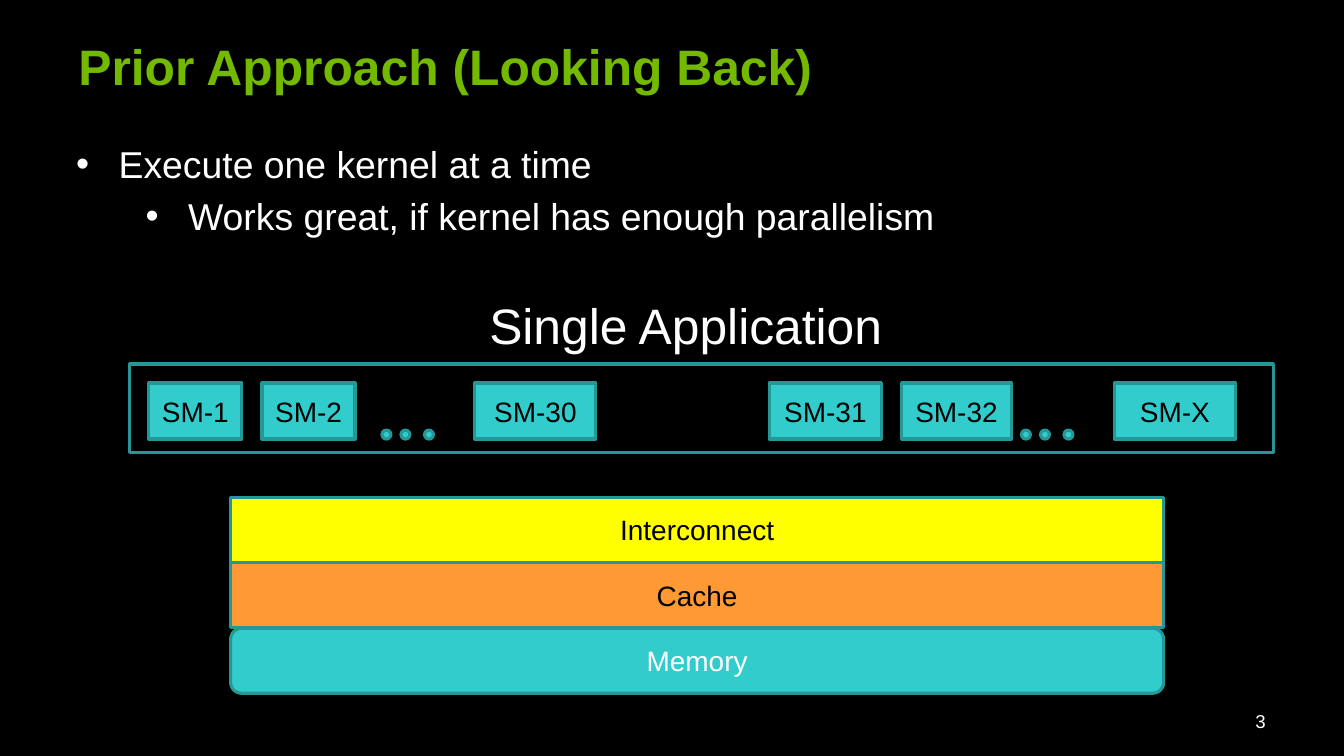
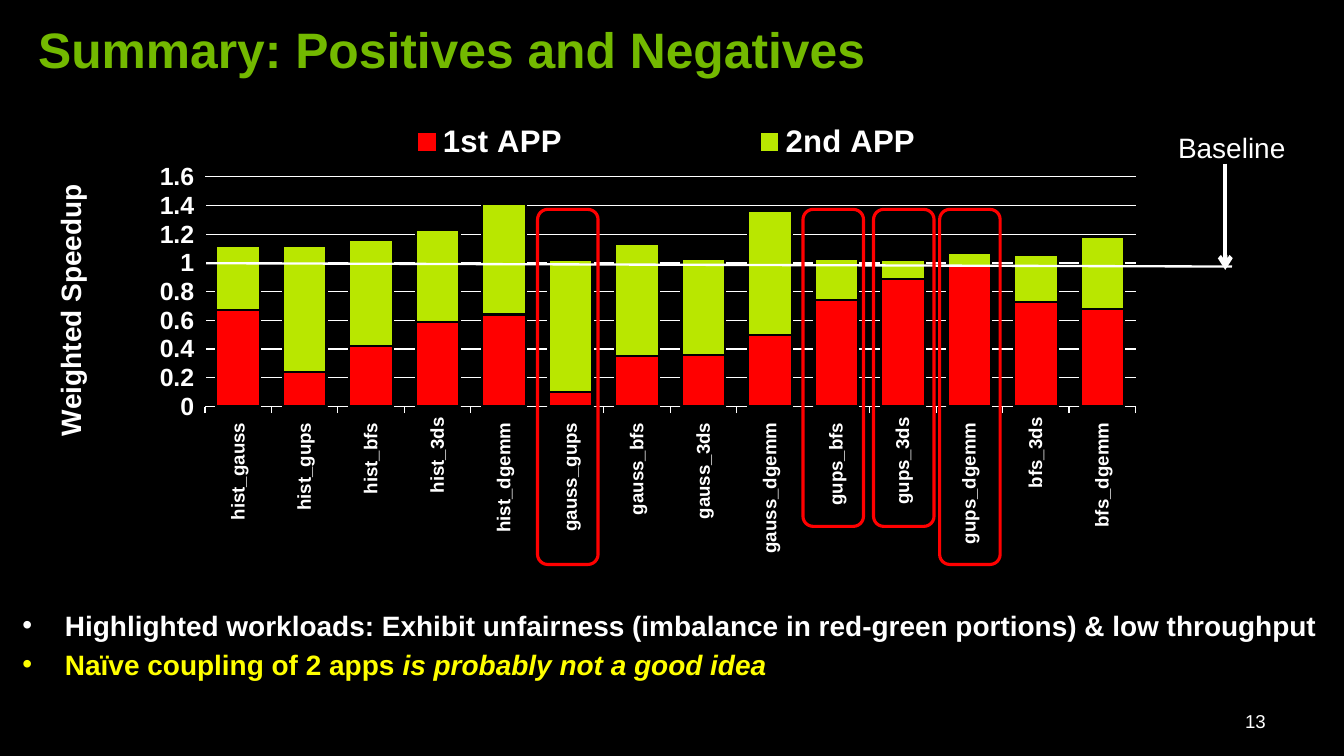
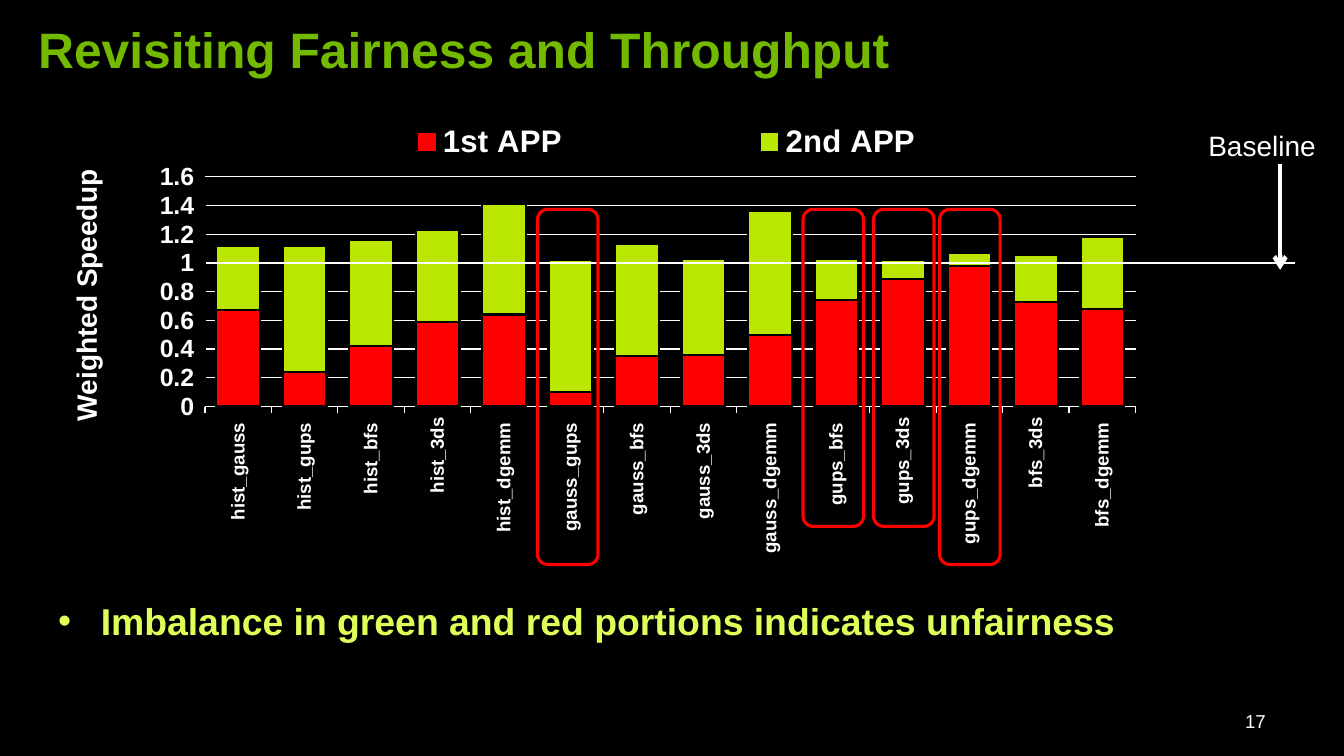
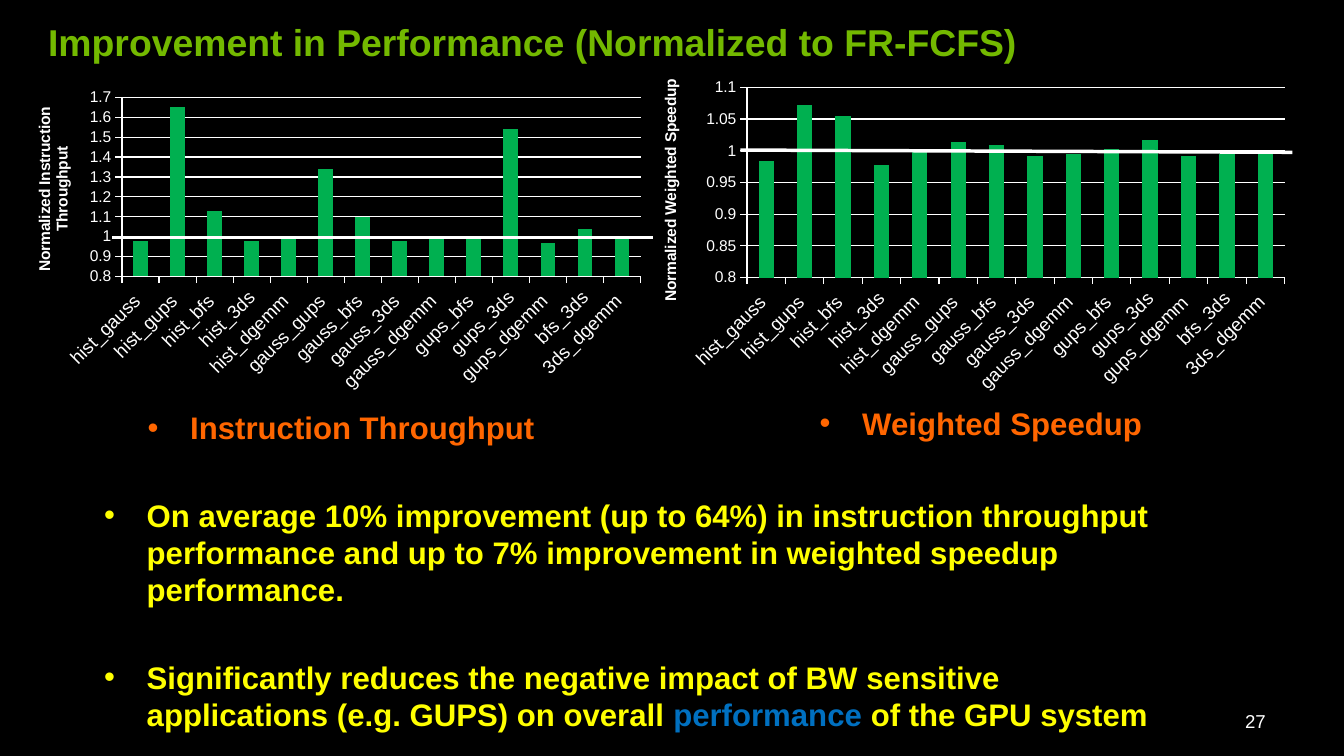
from lxml import etree
from pptx import Presentation
from pptx.chart.data import CategoryChartData
from pptx.dml.color import RGBColor
from pptx.enum.chart import XL_CHART_TYPE, XL_LEGEND_POSITION, XL_TICK_MARK
from pptx.enum.shapes import MSO_CONNECTOR, MSO_SHAPE
from pptx.enum.text import MSO_ANCHOR, MSO_AUTO_SIZE, PP_ALIGN
from pptx.oxml.ns import qn
from pptx.util import Inches, Pt

RECT, ROUND, DOT = MSO_SHAPE.RECTANGLE, MSO_SHAPE.ROUNDED_RECTANGLE, MSO_SHAPE.OVAL
LEFT, CENTER, RIGHT = PP_ALIGN.LEFT, PP_ALIGN.CENTER, PP_ALIGN.RIGHT
TOP, MIDDLE = MSO_ANCHOR.TOP, MSO_ANCHOR.MIDDLE
STACKED, CLUSTERED = XL_CHART_TYPE.COLUMN_STACKED, XL_CHART_TYPE.COLUMN_CLUSTERED
OUTSIDE = XL_TICK_MARK.OUTSIDE
LEGEND_TOP = XL_LEGEND_POSITION.TOP

FONT = "Arial"
COLORS = {
    "black": "000000", "white": "FFFFFF", "title": "73B900", "teal": "33CCCC",
    "teal_edge": "269797", "orange": "FF9933", "yellow": "FFFF00", "red": "FF0000",
    "lime": "B9E700", "pale_lime": "DEFF58", "green": "00B050", "blue": "0070C0",
    "caption": "FF6600",
}

WORKLOADS = [
    "hist_gauss ", "hist_gups ", "hist_bfs ", "hist_3ds", "hist_dgemm ", "gauss_gups ",
    "gauss_bfs ", "gauss_3ds ", "gauss_dgemm ", "gups_bfs ", "gups_3ds", "gups_dgemm ",
    "bfs_3ds",
]
FIRST_APP = [0.67, 0.24, 0.42, 0.59, 0.64, 0.1, 0.35, 0.36, 0.5, 0.74, 0.89, 0.98, 0.73, 0.68]
SECOND_APP = [0.45, 0.88, 0.74, 0.64, 0.77, 0.92, 0.78, 0.67, 0.86, 0.29, 0.13, 0.09, 0.33, 0.5]
WEIGHTED_SPEEDUP = [0.984, 1.072, 1.054, 0.978, 1, 1.013, 1.009, 0.992, 0.995, 1.003,
                    1.017, 0.992, 0.995, 0.997]
INSTRUCTION_THROUGHPUT = [0.98, 1.65, 1.13, 0.98, 1, 1.34, 1.1, 0.98, 1, 0.99, 1.54,
                          0.97, 1.04, 1]
FAIRNESS_BOX = (0.42, 1.04, 10.58, 4)


def rgb(name):
    return RGBColor.from_string(COLORS[name])


def inches(box):
    return [Inches(length) for length in box]


def set_layout(parent, index, chart_box, place, inner=False):
    """Place a chart part, given in inches from the chart's corner."""
    layout = parent.find(qn("c:layout"))
    if layout is None:
        layout = etree.Element(qn("c:layout"))
        parent.insert(index, layout)
    manual = etree.SubElement(layout, qn("c:manualLayout"))
    values = [("layoutTarget", "inner")] if inner else []
    values += [("xMode", "edge"), ("yMode", "edge")]
    values += [(tag, length / whole)
               for tag, length, whole in zip("xywh", place, chart_box[2:] * 2)]
    for tag, value in values:
        etree.SubElement(manual, qn(f"c:{tag}")).set("val", str(value))


class Deck:
    """Holds the shared style and the slide being built."""

    def __init__(self):
        self.prs = Presentation()
        self.prs.slide_width, self.prs.slide_height = Inches(12), Inches(6.75)
        background = self.prs.slide_master.background.fill
        background.solid()
        background.fore_color.rgb = rgb("black")
        self.slide = None

    def new_slide(self, title, title_box, number, title_size=32):
        self.slide = self.prs.slides.add_slide(self.prs.slide_layouts[1])
        heading = self.slide.shapes.title
        self.place(heading, title_box)
        heading.text_frame.text = title
        self.style(heading.text_frame.paragraphs[0], title_size, "title", bold=True)
        self.text(str(number), (8.6, 6.26, 2.8, 0.36), 12, RIGHT, MIDDLE)

    def place(self, holder, box):
        holder.left, holder.top, holder.width, holder.height = inches(box)
        frame = holder.text_frame
        frame.word_wrap = True
        frame.auto_size = MSO_AUTO_SIZE.NONE
        frame.vertical_anchor = TOP

    def set_font(self, font, size, color="white", bold=False):
        font.name, font.size, font.bold = FONT, Pt(size), bold
        font.color.rgb = rgb(color)

    def style(self, paragraph, size, color="white", align=LEFT, bold=False):
        paragraph.alignment = align
        for run in paragraph.runs:
            self.set_font(run.font, size, color, bold)

    def text(self, words, box, size, align=LEFT, anchor=TOP):
        label = self.slide.shapes.add_textbox(*inches(box))
        frame = label.text_frame
        frame.word_wrap = True
        frame.vertical_anchor = anchor
        frame.text = words
        self.style(frame.paragraphs[0], size, align=align)

    def bullet(self, paragraph, parts, size, bold, level=0, before=None):
        """Fill one list item from (words, color, italic) parts."""
        for words, color, italic in parts:
            run = paragraph.add_run()
            run.text = words
            self.set_font(run.font, size, color, bold)
            run.font.italic = italic
        paragraph.level = level
        paragraph.alignment = LEFT
        paragraph.space_before = Pt(before or 0.2 * size)
        props = paragraph._p.get_or_add_pPr()
        props.set("marL", str(Inches((0.38, 1)[level])))
        props.set("indent", str(Inches(-0.38)))
        etree.SubElement(props, qn("a:buFont")).set("typeface", FONT)
        etree.SubElement(props, qn("a:buChar")).set("char", "•")

    def body(self, box):
        """Place the body placeholder and return its text frame."""
        holder = self.slide.placeholders[1]
        self.place(holder, box)
        return holder.text_frame

    def caption(self, words, box):
        note = self.slide.shapes.add_textbox(*inches(box))
        note.text_frame.word_wrap = True
        self.bullet(note.text_frame.paragraphs[0], [(words, "caption", False)], 20, True)

    def shape(self, kind, box, fill=None, edge="teal_edge", words="", color="black"):
        block = self.slide.shapes.add_shape(kind, *inches(box))
        block.shadow.inherit = False
        if fill:
            block.fill.solid()
            block.fill.fore_color.rgb = rgb(fill)
        else:
            block.fill.background()
        block.line.color.rgb = rgb(edge)
        block.line.width = Pt(2)
        if words:
            block.text_frame.text = words
            block.text_frame.word_wrap = False
            block.text_frame.vertical_anchor = MIDDLE
            self.style(block.text_frame.paragraphs[0], 18, color, CENTER)

    def line(self, start, end, width, arrow=False):
        rule = self.slide.shapes.add_connector(
            MSO_CONNECTOR.STRAIGHT, *inches(start + end))
        rule.line.color.rgb = rgb("white")
        rule.line.width = Pt(width)
        if arrow:
            etree.SubElement(rule.line._get_or_add_ln(), qn("a:tailEnd")).set("type", "arrow")
        etree.SubElement(rule._element.spPr, qn("a:effectLst"))

    def chart(self, kind, box, categories, series, plot_area, axis_title, title_at,
              title_size=10, value_size=10, bold=False, angle=-45, gap=150,
              minimum=None, value_line="white"):
        """Add a column chart; series holds (name, values, color)."""
        data = CategoryChartData()
        data.categories = categories
        for name, values, _ in series:
            data.add_series(name, values)
        chart = self.slide.shapes.add_chart(kind, *inches(box), data).chart
        self.set_font(chart.font, 10)
        chart.has_title = False
        chart.has_legend = False
        plot = chart.plots[0]
        plot.gap_width = gap
        plot.vary_by_categories = False
        if kind == STACKED:
            plot.overlap = 100
        for column, (_, _, color) in zip(plot.series, series):
            column.format.fill.solid()
            column.format.fill.fore_color.rgb = rgb(color)
            column.invert_if_negative = False
            if kind == STACKED:
                column.format.line.color.rgb = rgb("black")
                column.format.line.width = Pt(1.5)

        # Axes
        names, scale = chart.category_axis, chart.value_axis
        for axis, size, color in ((names, 12, "white"), (scale, value_size, value_line)):
            axis.major_tick_mark = OUTSIDE
            self.set_font(axis.tick_labels.font, size, bold=bold)
            axis.format.line.color.rgb = rgb(color)
            axis.format.line.width = Pt(0.75)
        names._element.find(qn("c:txPr")).find(qn("a:bodyPr")).set("rot", str(angle * 60000))
        scale.has_major_gridlines = True
        scale.major_gridlines.format.line.color.rgb = rgb("white")
        scale.major_gridlines.format.line.width = Pt(0.75)
        if minimum is not None:
            scale.minimum_scale = minimum
        heading = scale.axis_title
        heading.text_frame.text = axis_title
        self.style(heading.text_frame.paragraphs[0], title_size, align=CENTER, bold=True)
        heading.text_frame._txBody.find(qn("a:bodyPr")).set("rot", "-5400000")
        set_layout(heading._element, 1, box, title_at)
        set_layout(chart._chartSpace.chart.plotArea, 0, box, plot_area, inner=True)
        return chart

    def fairness_chart(self, title_at):
        """Stacked speedup chart shared by two slides."""
        chart = self.chart(
            STACKED, FAIRNESS_BOX, WORKLOADS + ["bfs_dgemm "],
            [("1st APP", FIRST_APP, "red"), ("2nd APP", SECOND_APP, "lime")],
            (1.41, 0.54, 8.31, 2.05), "Weighted Speedup", title_at,
            title_size=18, value_size=16, bold=True, angle=-90, gap=52,
            value_line="black")
        chart.has_legend = True
        chart.legend.position = LEGEND_TOP
        chart.legend.include_in_layout = False
        self.set_font(chart.legend.font, 20, bold=True)
        set_layout(chart.legend._element, 1, FAIRNESS_BOX, (1.63, 0.05, 7.8, 0.36))

    def baseline(self, end, label_box, arrow_x):
        self.line((1.84, 2.35), end, 1.5)
        self.text("Baseline", label_box, 18)
        self.line((arrow_x, 1.46), (arrow_x, 2.41), 2.75, arrow=True)

    def highlights(self):
        """Frame the unfair workloads."""
        for left, height in ((4.8, 3.17), (7.17, 2.83), (7.8, 2.83), (8.39, 3.17)):
            self.shape(ROUND, (left, 1.87, 0.54, height), edge="red")


def prior_approach(deck):
    deck.new_slide("Prior Approach (Looking Back)", (0.6, 0.27, 10.07, 0.63), 3)
    points = deck.body((0.58, 1.21, 10.98, 4.65))
    deck.bullet(points.paragraphs[0], [("Execute one kernel at a time", "white", False)],
                24, False)
    deck.bullet(points.add_paragraph(),
                [("Works great, if kernel has enough parallelism", "white", False)],
                24, False, level=1)

    # Streaming multiprocessors
    cores = [("SM-1", 1.33, 0.83), ("SM-2", 2.34, 0.83), ("SM-30", 4.24, 1.08),
             ("SM-31", 6.87, 1), ("SM-32", 8.05, 0.98), ("SM-X", 9.95, 1.08)]
    for name, left, width in cores:
        deck.shape(RECT, (left, 3.42, width, 0.5), "teal", words=name)
    for start in (3.41, 9.12):
        for offset in (0, 0.17, 0.38):
            deck.shape(DOT, (start + offset, 3.84, 0.08, 0.08), "teal")
    deck.shape(RECT, (1.16, 3.25, 10.21, 0.79))
    deck.text("Single Application", (1.27, 2.58, 9.71, 0.64), 32, CENTER, MIDDLE)

    # Memory system, bottom layer first
    layers = [("Memory", ROUND, "teal", "white"), ("Cache", RECT, "orange", "black"),
              ("Interconnect", RECT, "yellow", "black")]
    for level, (name, kind, fill, color) in enumerate(layers):
        deck.shape(kind, (2.06, 5.61 - 0.585 * level, 8.33, 0.58), fill,
                   words=name, color=color)


def positives_and_negatives(deck):
    deck.new_slide("Summary: Positives and Negatives", (0.24, 0.12, 10.58, 0.64), 13)
    deck.fairness_chart((0, 0.56))
    points = deck.body((0.1, 5.38, 11.9, 1.1))
    deck.bullet(points.paragraphs[0], [
        ("Highlighted workloads: Exhibit unfairness (imbalance in red-green portions)"
         " & low throughput", "white", False)], 18, True)
    deck.bullet(points.add_paragraph(), [
        ("Naïve coupling of 2 apps ", "yellow", False),
        ("is probably not a good idea", "yellow", True)], 18, True)
    deck.baseline((11, 2.38), (10.42, 1.12, 1.33, 0.4), 10.94)
    deck.highlights()


def fairness_and_throughput(deck):
    deck.new_slide("Revisiting Fairness and Throughput", (0.24, 0.12, 10.58, 0.64), 17)
    deck.fairness_chart((0.14, 0.43))
    points = deck.body((0.42, 5.29, 11.58, 1.1))
    deck.bullet(points.paragraphs[0], [
        ("Imbalance in green and red portions indicates unfairness", "pale_lime", False)],
        24, True)
    deck.baseline((11.56, 2.35), (10.69, 1.1, 1.31, 0.4), 11.43)
    deck.highlights()


def improvement(deck):
    deck.new_slide("Improvement in Performance (Normalized to FR-FCFS)",
                   (0.33, 0.12, 10.07, 0.5), 27, title_size=24)

    # Charts with their reference lines and captions
    pairs = WORKLOADS + ["3ds_dgemm "]
    deck.chart(CLUSTERED, (5.83, 0.63, 5.75, 2.91), pairs,
               [("Series 1", WEIGHTED_SPEEDUP, "green")], (0.84, 0.15, 4.8, 1.7),
               "Normalized Weighted Speedup", (0.04, 0.05), minimum=0.8)
    deck.chart(CLUSTERED, (0.25, 0.71, 5.58, 2.83), pairs,
               [("Series 1", INSTRUCTION_THROUGHPUT, "green")], (0.84, 0.16, 4.63, 1.6),
               "Normalized Instruction Throughput", (0.03, 0.22), minimum=0.8)
    deck.line((1, 2.12), (5.83, 2.12), 2.25)
    deck.line((6.61, 1.34), (11.54, 1.36), 2.25)
    deck.caption("Instruction Throughput", (1.22, 3.6, 3.92, 0.58))
    deck.caption("Weighted Speedup", (7.22, 3.56, 3.92, 0.58))

    # Findings
    points = deck.body((0.83, 4.38, 9.57, 2.37))
    deck.bullet(points.paragraphs[0], [
        ("On average 10% improvement (up to 64%) in instruction throughput performance"
         " and up to 7% improvement in weighted speedup performance.", "yellow", False)],
        20, True)
    deck.bullet(points.add_paragraph(), [
        ("Significantly reduces the negative impact of BW sensitive applications"
         " (e.g. GUPS) on overall ", "yellow", False),
        ("performance", "blue", False),
        (" of the GPU system", "yellow", False)], 20, True, before=32)


def main():
    deck = Deck()
    prior_approach(deck)
    positives_and_negatives(deck)
    fairness_and_throughput(deck)
    improvement(deck)
    deck.prs.save("out.pptx")


if __name__ == "__main__":
    main()
